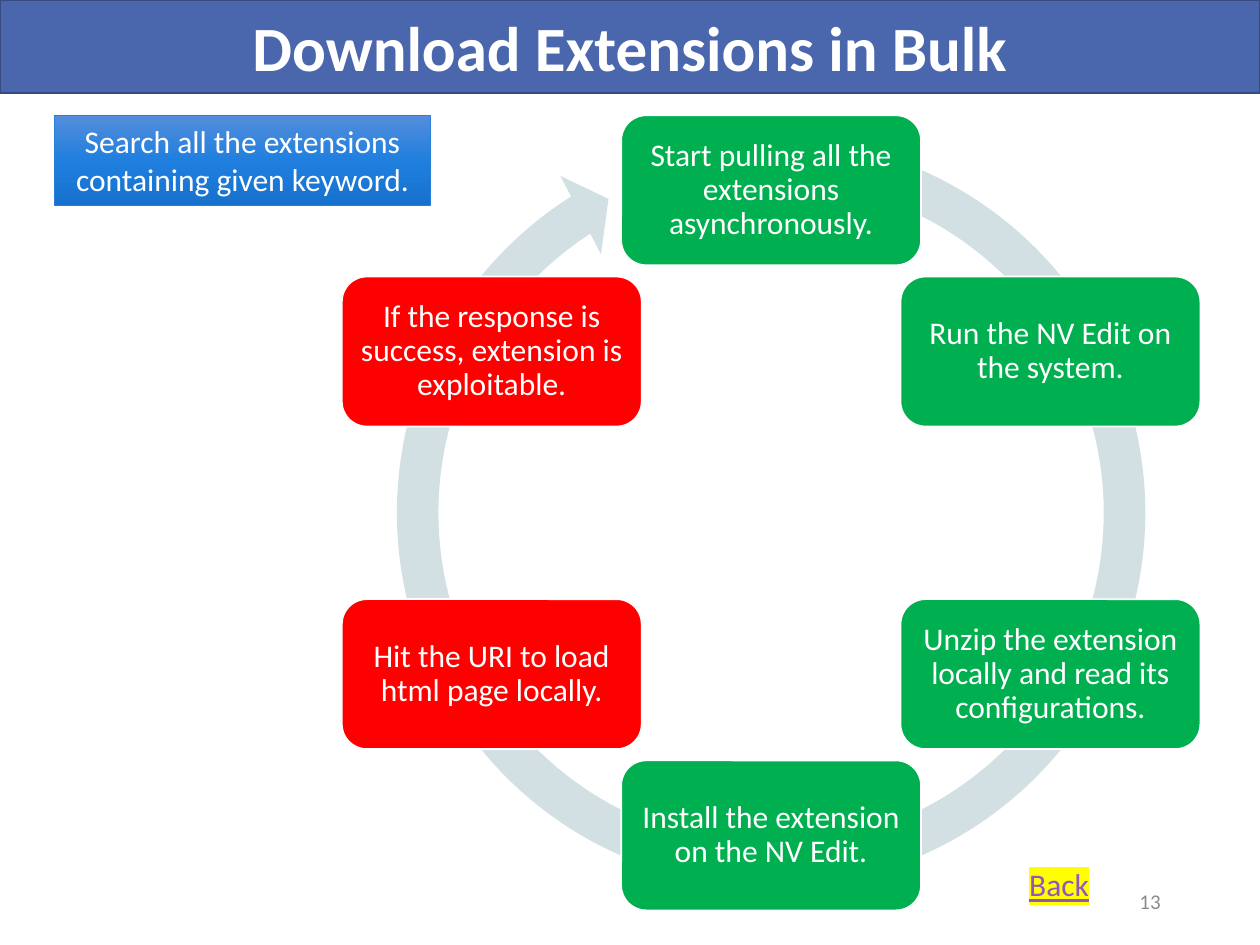
from math import cos, radians, sin
from typing import NamedTuple

from lxml.etree import SubElement
from pptx import Presentation
from pptx.dml.color import RGBColor
from pptx.enum.shapes import MSO_SHAPE as Preset
from pptx.enum.text import MSO_ANCHOR as Anchor
from pptx.enum.text import MSO_AUTO_SIZE as AutoSize
from pptx.enum.text import PP_ALIGN as Align
from pptx.oxml.ns import qn
from pptx.util import Inches, Pt

WHITE, GREEN, RED = "FFFFFF", "00B050", "FF0000"
CENTER_X, CENTER_Y, ORBIT = 6.12, 4.07, 2.56
RING_SIZE, RING_BAND, RING_HEAD = 6.31, 0.33, 0.35
STEP_WIDTH, STEP_HEIGHT = 2.38, 1.19


class Frame(NamedTuple):
    left: float
    top: float
    width: float
    height: float


class Step(NamedTuple):
    text: str
    color: str


class GradientStop(NamedTuple):
    percent: int
    color: str


STEPS = [
    Step("Start pulling all the extensions asynchronously.", GREEN),
    Step("Run the NV Edit on the system.", GREEN),
    Step("Unzip the extension locally and read its configurations.", GREEN),
    Step("Install the extension on the NV Edit.", GREEN),
    Step("Hit the URI to load html page locally.", RED),
    Step("If the response is success, extension is exploitable.", RED),
]
SEARCH_STOPS = [
    GradientStop(0, "538DDC"),
    GradientStop(50, "207FDE"),
    GradientStop(100, "1571CD"),
]


def paint(color_format, color: str) -> None:
    color_format.rgb = RGBColor.from_string(color)


def centered(x: float, y: float, width: float, height: float) -> Frame:
    return Frame(x - width / 2, y - height / 2, width, height)


def add_block(page, preset, frame: Frame, fill: str, line: str = "", weight: float = 1):
    box = page.shapes.add_shape(preset, *map(Inches, frame))
    box.shadow.inherit = False
    box.fill.solid()
    paint(box.fill.fore_color, fill)
    if line:
        paint(box.line.color, line)
        box.line.width = Pt(weight)
    else:
        box.line.fill.background()
    return box


def write(box, text: str, size: int, color: str = WHITE, align=Align.CENTER, anchor=Anchor.MIDDLE):
    frame = box.text_frame
    frame.word_wrap = True
    frame.vertical_anchor = anchor
    para = frame.paragraphs[0]
    para.alignment = align
    para.font.name = "Calibri"
    para.font.size = Pt(size)
    span = para.add_run()
    span.text = text
    paint_target = span.font.fill
    paint_target.solid()
    paint(paint_target.fore_color, color)
    return para


def add_ring(page) -> None:
    frame = centered(CENTER_X, CENTER_Y, RING_SIZE, RING_SIZE)
    ring = add_block(page, Preset.CIRCULAR_ARROW, frame, "D2E0E3")
    values = [RING_BAND / RING_SIZE, 3.13, 142.44, 171.18, RING_HEAD / RING_SIZE]
    for index, value in enumerate(values):
        ring.adjustments[index] = value


def add_step(page, step: Step, angle: float) -> None:
    x = CENTER_X + ORBIT * sin(radians(angle))
    y = CENTER_Y - ORBIT * cos(radians(angle))
    frame = centered(x, y, STEP_WIDTH, STEP_HEIGHT)
    box = add_block(page, Preset.ROUNDED_RECTANGLE, frame, step.color, WHITE)
    para = write(box, step.text, 18)
    para.line_spacing = 0.9
    text = box.text_frame
    text.margin_left = text.margin_right = Inches(0.07)
    text.margin_top = text.margin_bottom = Inches(0.07)


def add_gradient(box, stops: list[GradientStop]) -> None:
    box.fill.gradient()
    gradient = box.fill._xPr.find(qn("a:gradFill"))
    stop_list = gradient.find(qn("a:gsLst"))
    for child in list(stop_list):
        stop_list.remove(child)
    for stop in stops:
        node = SubElement(stop_list, qn("a:gs"), pos=str(stop.percent * 1000))
        SubElement(node, qn("a:srgbClr"), val=stop.color)
    box.fill.gradient_angle = 270


def add_highlight(span, color: str) -> None:
    properties = span.font._element
    highlight = SubElement(properties, qn("a:highlight"))
    SubElement(highlight, qn("a:srgbClr"), val=color)


def main() -> None:
    deck = Presentation()
    deck.slide_width, deck.slide_height = Inches(10), Inches(7.5)
    page = deck.slides.add_slide(deck.slide_layouts[6])

    title = add_block(page, Preset.RECTANGLE, Frame(0, 0, 10, 0.74), "4A66AC", "374B7F")
    write(title, "Download Extensions in Bulk", 36).font.bold = True

    add_ring(page)
    for index, step in enumerate(STEPS):
        add_step(page, step, index * 360 / len(STEPS))

    back = page.shapes.add_textbox(*map(Inches, Frame(8.07, 6.82, 0.68, 0.4)))
    para = write(back, "Back", 18, "9454C3", Align.LEFT, Anchor.TOP)
    back.text_frame.word_wrap = False
    back.text_frame.auto_size = AutoSize.SHAPE_TO_FIT_TEXT
    para.font.underline = True
    add_highlight(para.runs[0], "FFFF00")

    search_frame = Frame(0.43, 0.92, 2.99, 0.71)
    search = add_block(page, Preset.RECTANGLE, search_frame, "207FDE", "297FD5", 0.5)
    add_gradient(search, SEARCH_STOPS)
    write(search, "Search all the extensions containing given keyword.", 18, anchor=Anchor.TOP)
    search.text_frame.auto_size = AutoSize.SHAPE_TO_FIT_TEXT

    number = page.shapes.add_textbox(*map(Inches, Frame(7.06, 6.95, 2.25, 0.4)))
    write(number, "13", 12, "8C8C8C", Align.RIGHT)

    deck.save("out.pptx")


if __name__ == "__main__":
    main()
